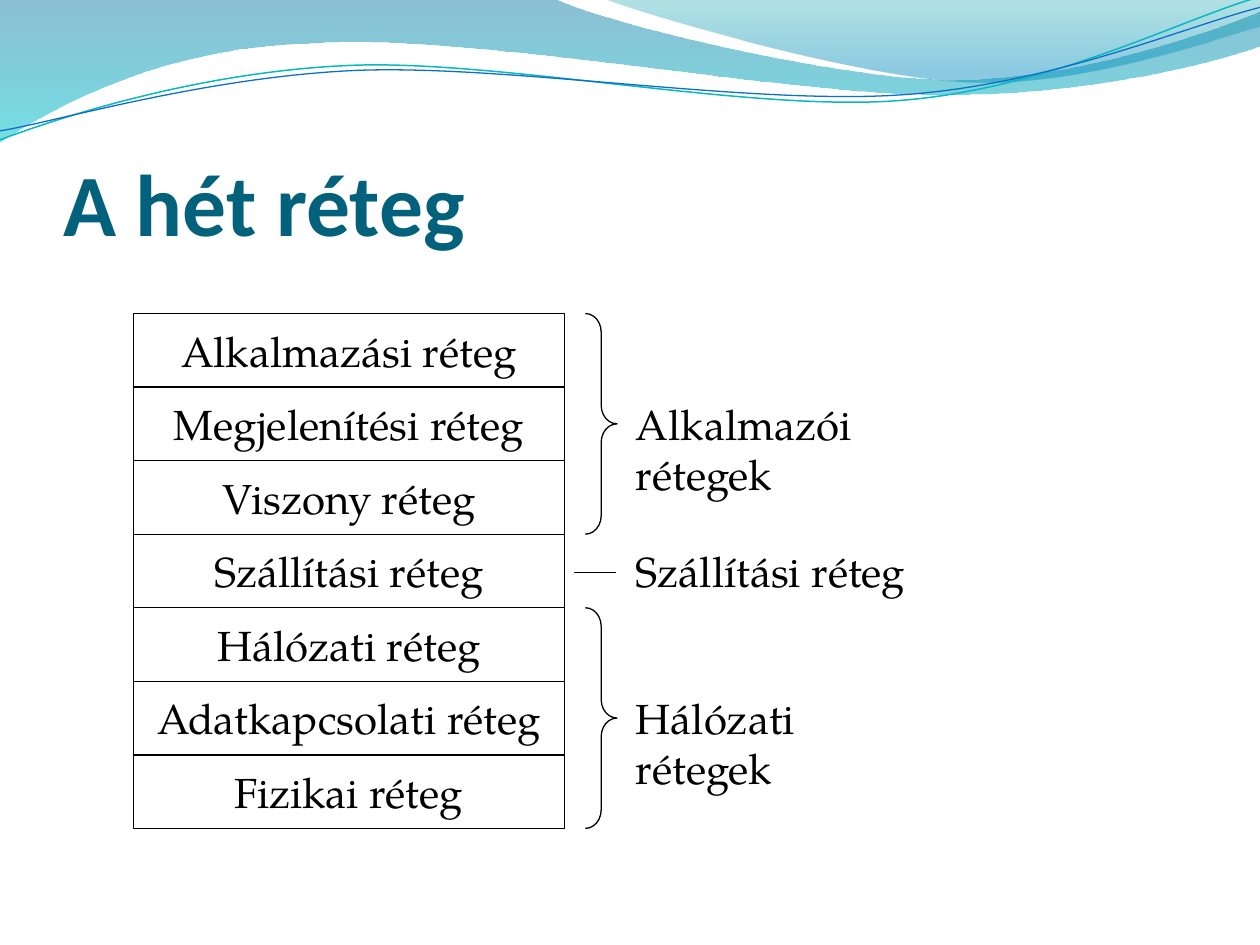
from dataclasses import dataclass

from lxml import etree
from pptx import Presentation
from pptx.dml.color import RGBColor
from pptx.enum.shapes import MSO_CONNECTOR, MSO_SHAPE
from pptx.enum.text import MSO_ANCHOR, PP_ALIGN
from pptx.oxml.ns import qn
from pptx.util import Cm, Pt

RECTANGLE, RIGHT_BRACE = MSO_SHAPE.RECTANGLE, MSO_SHAPE.RIGHT_BRACE
STRAIGHT = MSO_CONNECTOR.STRAIGHT
TOP, MIDDLE, BOTTOM = MSO_ANCHOR.TOP, MSO_ANCHOR.MIDDLE, MSO_ANCHOR.BOTTOM
LEFT, CENTER = PP_ALIGN.LEFT, PP_ALIGN.CENTER
TITLE_ONLY = 5
FIRST_WAVE_ID = 101


@dataclass(frozen=True)
class Theme:
    title_font: str = "Calibri"
    body_font: str = "TeX Gyre Pagella"
    title_size: int = 50
    body_size: int = 24
    title: str = "04617B"
    ink: str = "000000"
    rule: float = 0.75
    # Gradient stops: position, colour, opacity in percent
    wide_wave: tuple = ((0, "0074A1", 45), (1, "00C6CF", 55))
    right_wave: tuple = ((0, "00A1A9", 30), (0.8, "008BBF", 45))
    # Strokes: colour, width
    teal_stroke: tuple = ("0AB8BF", 0.85)
    blue_stroke: tuple = ("0F6FC6", 0.75)


THEME = Theme()

# Wave outlines in cm: one point is a straight step, three are a Bézier curve
WIDE_WAVE = [
    [(0, 0)], [(11.18, -0.03)],
    [(12.09, 0.43), (16.87, 1.6), (19.25, 1.6)],
    [(21.67, 1.6), (24.33, 0.66), (25.4, 0.23)],
    [(25.43, 0.91)],
    [(24.97, 1.12), (22.1, 1.93), (18.95, 1.91)],
    [(15.8, 1.91), (9.7, 0.71), (6.53, 0.86)],
    [(3.28, 0.91), (1.17, 2.11), (-0.03, 2.87)],
    [(0, 0)],
]
RIGHT_WAVE = [
    [(12.17, -0.03)],
    [(12.93, 0.28), (17.32, 1.57), (19.53, 1.65)],
    [(21.74, 1.75), (24.41, 0.81), (25.4, 0.53)],
    [(25.4, 0)], [(12.17, -0.03)],
]
TEAL_STROKE = [
    [(0, 2.82)],
    [(1.22, 2.36), (4.01, 1.45), (7.04, 1.32)],
    [(10.03, 1.19), (15.06, 2.26), (18.11, 2.03)],
    [(21.16, 1.8), (23.83, 0.38), (25.35, -0.05)],
]
BLUE_STROKE = [
    [(0, 2.64)],
    [(1.19, 2.44), (4.17, 1.55), (7.19, 1.42)],
    [(10.24, 1.3), (15.16, 2.13), (18.21, 1.91)],
    [(21.23, 1.7), (23.9, 0.53), (25.4, 0.15)],
]

LAYERS = ["Alkalmazási réteg", "Megjelenítési réteg", "Viszony réteg",
          "Szállítási réteg", "Hálózati réteg", "Adatkapcsolati réteg",
          "Fizikai réteg"]
# Label, first layer, number of layers
GROUPS = [("Alkalmazói rétegek", 0, 3), ("Szállítási réteg", 3, 1),
          ("Hálózati rétegek", 4, 3)]


def set_values(target, values):
    for name, value in values.items():
        setattr(target, name, value)


def write(shape, text, margins, anchor, align=LEFT, font=THEME.body_font,
          size=THEME.body_size, color=THEME.ink, bold=False):
    frame = shape.text_frame
    left, top, right, bottom = map(Cm, margins)
    set_values(frame, dict(text=text, word_wrap=True, vertical_anchor=anchor,
                           margin_left=left, margin_top=top,
                           margin_right=right, margin_bottom=bottom))
    paragraph = frame.paragraphs[0]
    paragraph.alignment = align
    set_values(paragraph.font, dict(name=font, size=Pt(size), bold=bold))
    paragraph.font.color.rgb = RGBColor.from_string(color)


def draw_line(line, color=THEME.ink, width=THEME.rule):
    line.color.rgb = RGBColor.from_string(color)
    line.width = Pt(width)


def add_outline(slide, left, top, segments, close):
    """Draw every point as a corner, then join each triple into one curve."""
    points = [(Cm(left + x), Cm(top + y))
              for segment in segments for x, y in segment]
    builder = slide.shapes.build_freeform(*points[0])
    builder.add_line_segments(points[1:], close=close)
    outline = builder.convert_to_shape()
    outline.shadow.inherit = False
    steps = iter(list(outline._element.spPr.iter(qn("a:lnTo"))))
    for segment in segments[1:]:
        corners = [next(steps) for _ in segment]
        if len(corners) == 3:
            curve = etree.Element(qn("a:cubicBezTo"))
            corners[0].addprevious(curve)
            for corner in corners:
                curve.append(corner[0])
                corner.getparent().remove(corner)
    return outline


def fill_gradient(shape, stops):
    shape.fill.gradient()
    shape.fill.gradient_angle = 270
    for stop, (position, color, _) in zip(shape.fill.gradient_stops, stops):
        stop.position = position
        stop.color.rgb = RGBColor.from_string(color)
    colors = shape._element.spPr.iter(qn("a:srgbClr"))
    for color, (_, _, opacity) in zip(colors, stops):
        etree.SubElement(color, qn("a:alpha")).set("val", str(opacity * 1000))


def add_waves(slide, left, top):
    """Draw the waves and hand them to the slide master as its background."""
    waves = []
    for segments, stops in ((WIDE_WAVE, THEME.wide_wave),
                            (RIGHT_WAVE, THEME.right_wave)):
        wave = add_outline(slide, left, top, segments, close=True)
        fill_gradient(wave, stops)
        wave.line.fill.background()
        waves.append(wave)
    for segments, stroke in ((TEAL_STROKE, THEME.teal_stroke),
                             (BLUE_STROKE, THEME.blue_stroke)):
        curve = add_outline(slide, left, top, segments, close=False)
        curve.fill.background()
        draw_line(curve.line, *stroke)
        waves.append(curve)
    master_tree = slide.slide_layout.slide_master.shapes._spTree
    for index, wave in enumerate(waves):
        wave._element.nvSpPr.cNvPr.set("id", str(FIRST_WAVE_ID + index))
        master_tree.insert(2 + index, wave._element)


def place_title(slide, text, left, top, width, height):
    title = slide.shapes.title
    set_values(title, dict(left=Cm(left), top=Cm(top),
                           width=Cm(width), height=Cm(height)))
    write(title, text, (0, 0.13, 0, 0), BOTTOM, font=THEME.title_font,
          size=THEME.title_size, color=THEME.title, bold=True)


def add_outlined(slide, preset, *box):
    shape = slide.shapes.add_shape(preset, *map(Cm, box))
    shape.shadow.inherit = False
    shape.fill.background()
    draw_line(shape.line)
    return shape


def add_layer_stack(slide, left, top, width, height):
    row = height / len(LAYERS)
    for index, name in enumerate(LAYERS):
        layer = add_outlined(slide, RECTANGLE, left, top + index * row, width, row)
        write(layer, name, (0.05, 0.03, 0.05, 0.03), MIDDLE, CENTER)


def add_group_labels(slide, left, top, width, height):
    """Mark groups of layers with a brace, or a dash for a single layer."""
    row = height / len(LAYERS)
    label_offset = 1.19
    for name, first, count in GROUPS:
        start = top + first * row
        middle = start + count * row / 2
        if count > 1:
            brace = add_outlined(slide, RIGHT_BRACE, left + 0.22, start,
                                 0.64, count * row)
            brace.adjustments[0] = 0.583
        else:
            dash_top = Cm(middle + 0.03)
            dash = slide.shapes.add_connector(
                STRAIGHT, Cm(left), dash_top, Cm(left + 0.84), dash_top)
            draw_line(dash.line)
            etree.SubElement(dash._element.spPr, qn("a:effectLst"))
        label = slide.shapes.add_textbox(Cm(left + label_offset), Cm(middle - 0.55),
                                         Cm(width - label_offset), Cm(1.07))
        write(label, name, (0.05, 0.03, 0.05, 0.03), TOP)


def main():
    deck = Presentation()
    set_values(deck, dict(slide_width=Cm(25.4), slide_height=Cm(19.05)))
    slide = deck.slides.add_slide(deck.slide_layouts[TITLE_ONLY])
    add_waves(slide, 0, 0)
    place_title(slide, "A hét réteg", 1.27, 1.96, 22.86, 3.17)
    add_layer_stack(slide, 2.69, 6.32, 8.69, 10.38)
    add_group_labels(slide, 11.58, 6.32, 6.9, 10.38)
    deck.save("out.pptx")


if __name__ == "__main__":
    main()
